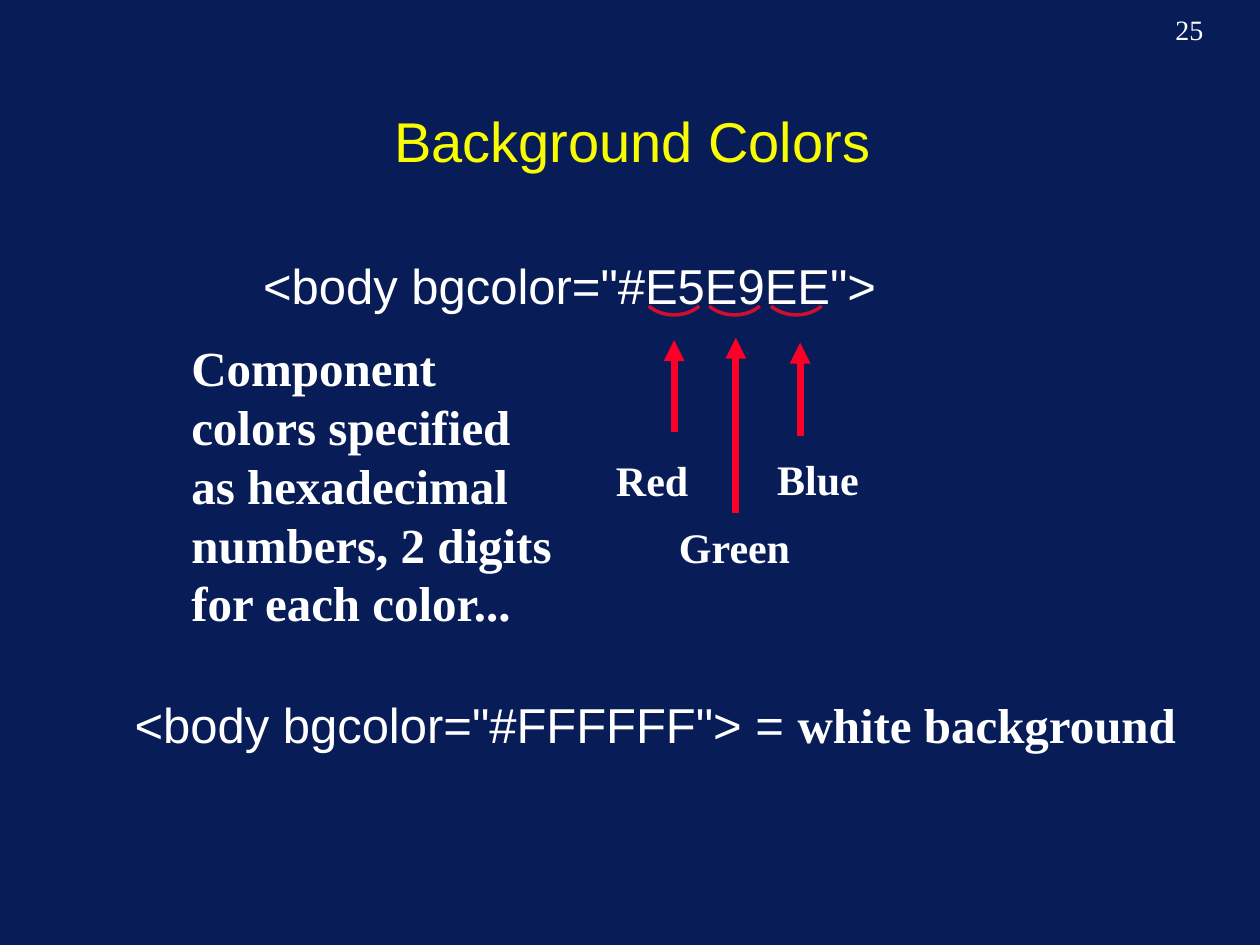
from pptx import Presentation
from pptx.dml.color import RGBColor
from pptx.enum.shapes import MSO_CONNECTOR, MSO_SHAPE
from pptx.enum.text import MSO_ANCHOR, PP_ALIGN
from pptx.oxml.ns import qn
from pptx.util import Inches, Pt
from lxml import etree

STRAIGHT, ARC = MSO_CONNECTOR.STRAIGHT, MSO_SHAPE.ARC
MIDDLE, CENTER = MSO_ANCHOR.MIDDLE, PP_ALIGN.CENTER

COLORS = {"background": "081D58", "title": "FAFD00", "text": "FFFFFF",
          "arc": "CF0E30", "arrow": "FC0128"}
SANS, SERIF = "Arial", "Times New Roman"

# Content
PAGE_NUMBER = "25"
TITLE = "Background Colors"
EXAMPLE = '<body bgcolor="#E5E9EE">'
EXPLANATION = ["Component", "colors specified", "as hexadecimal",
               "numbers, 2 digits", "for each color..."]
WHITE_EXAMPLE = ('<body bgcolor="#FFFFFF"> = ', "white background")

# Name, arc centre x, arrow (x, top, bottom), label box (left, top, width, height)
COMPONENTS = [
    ("Red", 5.35, (5.35, 2.7, 3.43), (4.79, 3.56, 0.82, 0.5)),
    ("Green", 5.83, (5.84, 2.68, 4.07), (5.29, 4.09, 1.12, 0.5)),
    ("Blue", 6.32, (6.35, 2.72, 3.46), (6.07, 3.55, 0.88, 0.5)),
]
ARC_TOP, ARC_WIDTH, ARC_HEIGHT = 2, 0.58, 0.5
ARC_START, ARC_END = 42, 138  # degrees, clockwise from the right


def rgb(name):
    return RGBColor.from_string(COLORS[name])


def style(font, face, size, bold=False, color="text"):
    font.name, font.size, font.bold = face, Pt(size), bold
    font.color.rgb = rgb(color)


def add_text(slide, box, lines, face, size, bold=False, color="text"):
    frame = slide.shapes.add_textbox(*map(Inches, box)).text_frame
    frame.word_wrap = False
    frame.text = "\n".join(lines)
    for paragraph in frame.paragraphs:
        style(paragraph.font, face, size, bold, color)
    return frame


def add_arc(slide, center):
    arc = slide.shapes.add_shape(
        ARC, Inches(center - ARC_WIDTH / 2), Inches(ARC_TOP),
        Inches(ARC_WIDTH), Inches(ARC_HEIGHT))
    # Angles are stored in 60000ths of a degree, adjustments in 100000ths
    arc.adjustments[0] = ARC_START * 0.6
    arc.adjustments[1] = ARC_END * 0.6
    arc.shadow.inherit = False
    arc.fill.background()
    arc.line.color.rgb = rgb("arc")
    arc.line.width = Pt(2)


def add_arrow(slide, x, top, bottom):
    arrow = slide.shapes.add_connector(
        STRAIGHT, Inches(x), Inches(bottom), Inches(x), Inches(top))
    arrow.line.color.rgb = rgb("arrow")
    arrow.line.width = Pt(4)
    etree.SubElement(arrow.line._get_or_add_ln(), qn("a:tailEnd"), type="triangle")
    etree.SubElement(arrow._element.spPr, qn("a:effectLst"))


def main():
    prs = Presentation()
    prs.slide_width, prs.slide_height = Inches(10), Inches(7.5)
    slide = prs.slides.add_slide(prs.slide_layouts[6])
    slide.background.fill.solid()
    slide.background.fill.fore_color.rgb = rgb("background")

    # Page number and title
    add_text(slide, (9.23, 0.05, 1.13, 0.36), [PAGE_NUMBER], SERIF, 16)
    title = add_text(slide, (0.77, 0.49, 8.5, 1.25), [TITLE], SANS, 32, color="title")
    title.word_wrap = True
    title.vertical_anchor = MIDDLE
    title.paragraphs[0].alignment = CENTER

    # Example with its three colour components
    add_text(slide, (1.99, 1.98, 5.2, 0.56), [EXAMPLE], SANS, 28)
    for name, arc_center, arrow, label_box in COMPONENTS:
        add_arc(slide, arc_center)
        add_arrow(slide, *arrow)
        add_text(slide, label_box, [name], SERIF, 24, bold=True)

    # White background example and explanation
    code, meaning = WHITE_EXAMPLE
    white = add_text(slide, (0.97, 5.46, 8.5, 0.56), [code], SANS, 28)
    meaning_run = white.paragraphs[0].add_run()
    meaning_run.text = meaning
    style(meaning_run.font, SERIF, 28, bold=True)
    add_text(slide, (1.42, 2.63, 3.15, 2.43), EXPLANATION, SERIF, 28, bold=True)

    prs.save("out.pptx")


if __name__ == "__main__":
    main()
